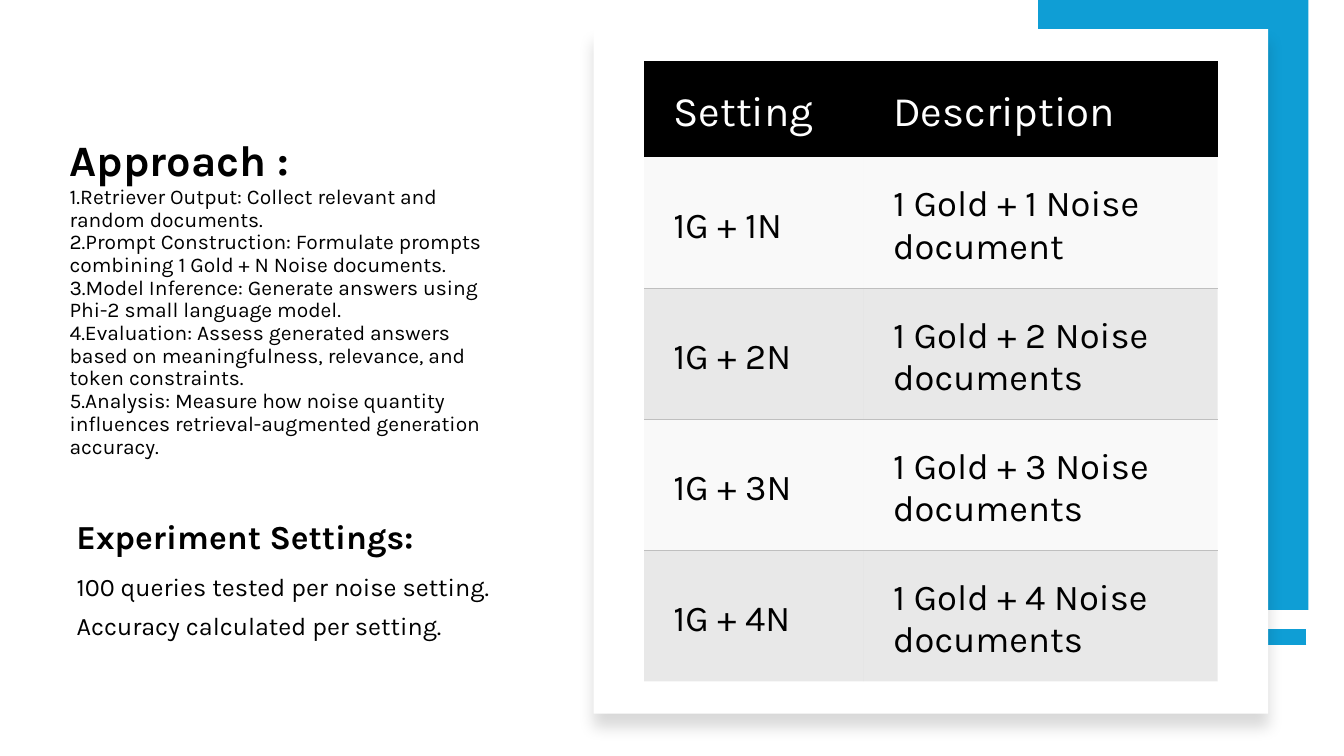
from dataclasses import dataclass
from typing import Any, NamedTuple

from lxml.etree import SubElement as Sub
from pptx import Presentation
from pptx.dml.color import RGBColor
from pptx.enum.shapes import MSO_CONNECTOR as Link, MSO_SHAPE as Form
from pptx.enum.text import MSO_ANCHOR as Anchor, MSO_AUTO_SIZE as Fit, PP_ALIGN as Align
from pptx.oxml import parse_xml
from pptx.oxml.ns import nsdecls, qn
from pptx.util import Pt

BLACK = RGBColor(0x00, 0x00, 0x00)
WHITE = RGBColor(0xFF, 0xFF, 0xFF)
BLUE = RGBColor(0x0F, 0x9E, 0xD5)
PALE = RGBColor(0xF2, 0xF2, 0xF2)
GREY = RGBColor(0xBF, 0xBF, 0xBF)
FACE = "Karla"
PLAIN = "{2D5ABB26-0587-4C30-8999-92F81FD0307C}"


class Box(NamedTuple):
    left: float
    top: float
    width: float
    height: float

    def points(self) -> list[Pt]:
        return [Pt(side) for side in self]


@dataclass
class Line:
    text: str
    size: float
    bold: bool = False
    space: float = 1.0
    after: float = 0


@dataclass
class Row:
    cells: tuple[str, str]
    height: float
    size: float
    ink: RGBColor
    fill: RGBColor
    alpha: int = 100
    edge: str = ""


STEPS = (
    "1.Retriever Output: Collect relevant and random documents.",
    "2.Prompt Construction: Formulate prompts combining 1 Gold + N Noise documents.",
    "3.Model Inference: Generate answers using Phi-2 small language model.",
    "4.Evaluation: Assess generated answers based on meaningfulness, relevance, and token constraints.",
    "5.Analysis: Measure how noise quantity influences retrieval-augmented generation accuracy.",
)
APPROACH = [Line("Approach :", 31, True, 0.9)] + [Line(step, 15, space=0.9) for step in STEPS]
HEADING = [Line("Experiment Settings:", 24, True, 0.9)]
FACTS = [
    Line("100 queries tested per noise setting.", 18, after=6),
    Line("Accuracy calculated per setting.", 18, after=6),
]


def noise_row(count: int) -> Row:
    noun = "document" if count == 1 else "documents"
    cells = (f"1G + {count}N", f"1 Gold + {count} Noise {noun}")
    odd = count % 2 == 1
    fill, alpha, edge = (PALE, 45, "b") if odd else (GREY, 35, "t")
    return Row(cells, 93.6, 26, BLACK, fill, alpha, edge)


ROWS = [Row(("Setting", "Description"), 68.4, 30, WHITE, BLACK)]
ROWS += [noise_row(count) for count in range(1, 5)]


def assign(target: Any, values: dict[str, Any]) -> None:
    """Set each named attribute on the target."""
    for name, value in values.items():
        setattr(target, name, value)


def style_font(font: Any, size: float, ink: RGBColor, bold: bool = False) -> None:
    assign(font, {"name": FACE, "size": Pt(size), "bold": bold})
    font.color.rgb = ink


def write(shape: Any, box: Box, lines: list[Line], anchor: Anchor = Anchor.TOP) -> None:
    """Place a text shape and fill it with unbulleted paragraphs."""
    assign(shape, dict(zip(("left", "top", "width", "height"), box.points())))
    frame = shape.text_frame
    assign(frame, {"word_wrap": True, "auto_size": Fit.NONE, "vertical_anchor": anchor})
    for spot, line in enumerate(lines):
        para = frame.add_paragraph() if spot else frame.paragraphs[0]
        para.add_run().text = line.text
        assign(para, {
            "alignment": Align.LEFT,
            "line_spacing": line.space,
            "space_before": Pt(0),
            "space_after": Pt(line.after),
        })
        props = para._p.get_or_add_pPr()
        props.set("marL", "0")
        props.set("indent", "0")
        Sub(props, qn("a:buNone"))
        style_font(para.runs[0].font, line.size, BLACK, line.bold)


def add_block(slide: Any, box: Box, fill: RGBColor) -> Any:
    block = slide.shapes.add_shape(Form.RECTANGLE, *box.points())
    block.shadow.inherit = False
    block.fill.solid()
    block.fill.fore_color.rgb = fill
    block.line.fill.background()
    return block


def add_shade(block: Any) -> None:
    """Give the card a soft shadow falling straight down."""
    shade = parse_xml(
        f'<a:outerShdw {nsdecls("a")} blurRad="{Pt(11)}" dist="{Pt(10)}" dir="5400000" '
        f'algn="t" rotWithShape="0"><a:srgbClr val="{BLACK}"><a:alpha val="15000"/>'
        f'</a:srgbClr></a:outerShdw>'
    )
    block._element.spPr.find(qn("a:effectLst")).append(shade)


def add_bar(slide: Any, start: float, end: float, level: float) -> None:
    bar = slide.shapes.add_connector(Link.STRAIGHT, Pt(start), Pt(level), Pt(end), Pt(level))
    bar.line.color.rgb = BLUE
    bar.line.width = Pt(12)
    Sub(bar._element.spPr, qn("a:effectLst"))


def fill_cell(cell: Any, text: str, row: Row) -> None:
    assign(cell, {
        "text": text,
        "vertical_anchor": Anchor.MIDDLE,
        "margin_left": Pt(20.9),
        "margin_top": Pt(15.1),
        "margin_right": Pt(20.9),
        "margin_bottom": Pt(10.1),
    })
    style_font(cell.text_frame.paragraphs[0].runs[0].font, row.size, row.ink)
    cell.fill.solid()
    cell.fill.fore_color.rgb = row.fill
    props = cell._tc.get_or_add_tcPr()
    if row.alpha < 100:
        tint = props.find(f"{qn('a:solidFill')}/{qn('a:srgbClr')}")
        Sub(tint, qn("a:alpha"), val=str(row.alpha * 1000))
    if row.edge:
        tag = f"a:ln{row.edge.upper()}"
        props.insert(0, parse_xml(
            f'<{tag} {nsdecls("a")} w="{Pt(1)}"><a:solidFill>'
            f'<a:srgbClr val="{GREY}"/></a:solidFill></{tag}>'
        ))


def add_grid(slide: Any, box: Box, widths: tuple[float, ...]) -> None:
    frame = slide.shapes.add_table(len(ROWS), len(widths), *box.points())
    grid = frame.table
    assign(grid, {"first_row": True, "horz_banding": False})
    grid._tbl.tblPr.find(qn("a:tableStyleId")).text = PLAIN
    for column, width in zip(grid.columns, widths):
        column.width = Pt(width)
    for line, row in zip(grid.rows, ROWS):
        line.height = Pt(row.height)
        for cell, text in zip(line.cells, row.cells):
            fill_cell(cell, text, row)


def main() -> None:
    deck = Presentation()
    assign(deck, {"slide_width": Pt(960), "slide_height": Pt(540)})
    slide = deck.slides.add_slide(deck.slide_layouts[1])
    title, body = slide.placeholders
    write(title, Box(42.5, 55.4, 328.3, 275.8), APPROACH, Anchor.BOTTOM)
    head = Box(47.5, 368.6, 328.3, 36)
    write(slide.shapes.add_textbox(*head.points()), head, HEADING)
    write(body, Box(47.5, 404.6, 322.6, 56.9), FACTS)
    add_bar(slide, 933.1, 741.6, 455)
    add_block(slide, Box(741.6, 0, 193, 435.6), BLUE)
    add_shade(add_block(slide, Box(424.1, 20.9, 481.7, 488.9), WHITE))
    add_grid(slide, Box(460.1, 43.9, 409.7, 442.8), (157, 252.7))
    deck.save("out.pptx")


if __name__ == "__main__":
    main()
